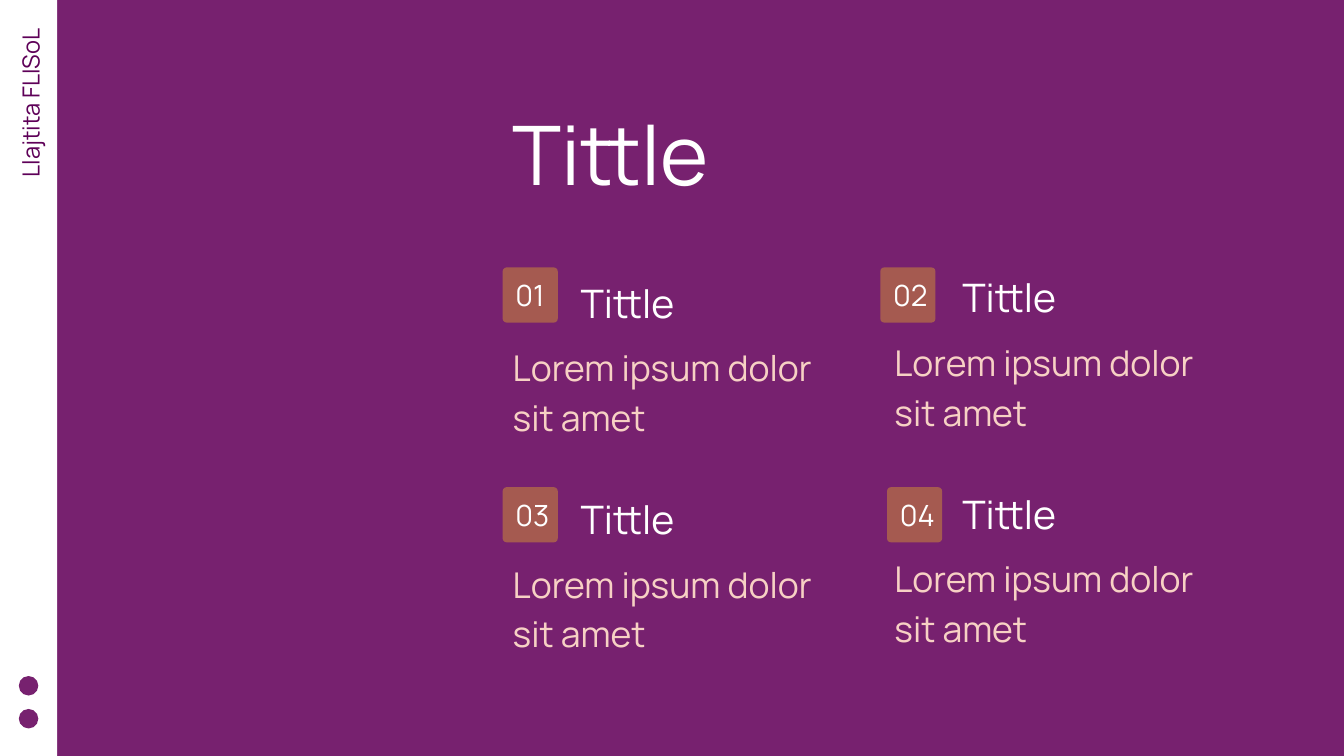
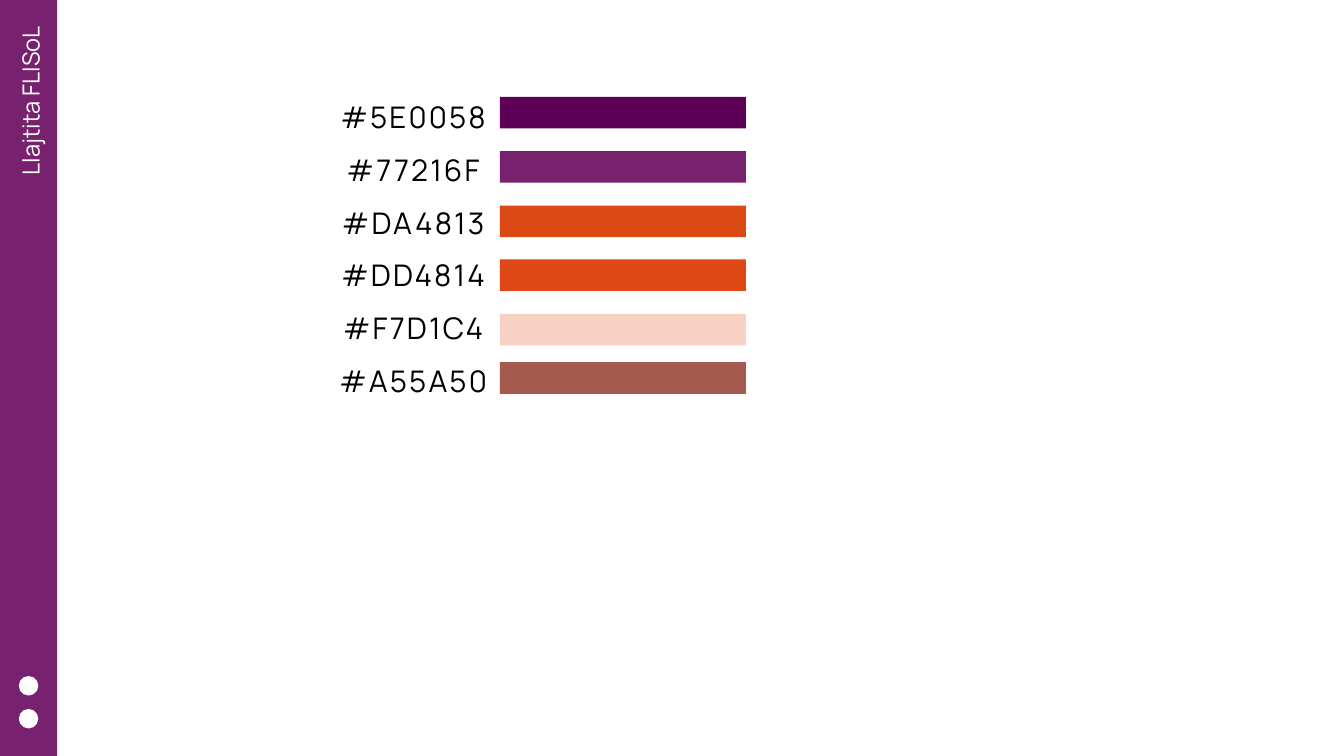
from pptx import Presentation
from pptx.dml.color import RGBColor
from pptx.enum.shapes import MSO_SHAPE
from pptx.enum.text import MSO_ANCHOR, MSO_AUTO_SIZE, PP_ALIGN
from pptx.oxml import parse_xml
from pptx.oxml.ns import nsdecls
from pptx.util import Inches, Pt

RECT, ROUNDED, OVAL = MSO_SHAPE.RECTANGLE, MSO_SHAPE.ROUNDED_RECTANGLE, MSO_SHAPE.OVAL
LEFT, CENTER = PP_ALIGN.LEFT, PP_ALIGN.CENTER
TOP, NO_FIT = MSO_ANCHOR.TOP, MSO_AUTO_SIZE.NONE

FONT = "Manrope"
COLORS = {
    "dark": "5E0058", "purple": "77216F", "orange": "DA4813",
    "bright": "DD4814", "peach": "F7D1C4", "brown": "A55A50",
    "white": "FFFFFF", "black": "000000",
}


def write(s, text, x, y, w, h, size, spacing, color, align=LEFT, tracking=0, sp=None):
    """Put text in a new box, or in the placeholder sp, one paragraph a line."""
    box = Inches(x), Inches(y), Inches(w), Inches(h)
    if sp is None:
        sp = s.shapes.add_textbox(*box)
    sp.left, sp.top, sp.width, sp.height = box
    tf = sp.text_frame
    tf.word_wrap, tf.auto_size, tf.vertical_anchor = True, NO_FIT, TOP
    tf.margin_left = tf.margin_top = tf.margin_right = tf.margin_bottom = 0
    for i, line in enumerate(text.split("\n")):
        p = tf.add_paragraph() if i else tf.paragraphs[0]
        p.alignment, p.line_spacing, p.space_before = align, Pt(spacing), Pt(0)
        if sp.is_placeholder:
            pPr = p._p.get_or_add_pPr()
            pPr.set("marL", "0")
            pPr.set("indent", "0")
            pPr.append(parse_xml(f"<a:buNone {nsdecls('a')}/>"))
        r = p.add_run()
        r.text = line
        r.font.name, r.font.size = FONT, Pt(size)
        r.font.color.rgb = RGBColor.from_string(COLORS[color])
        if tracking:
            r._r.get_or_add_rPr().set("spc", str(tracking))
    return sp


def block(s, kind, x, y, w, h, color):
    """Add a plain filled shape without outline."""
    sp = s.shapes.add_shape(kind, Inches(x), Inches(y), Inches(w), Inches(h))
    sp.shadow.inherit = False
    sp.fill.solid()
    sp.fill.fore_color.rgb = RGBColor.from_string(COLORS[color])
    sp.line.fill.background()
    return sp


prs = Presentation()
prs.slide_width, prs.slide_height = Inches(20), Inches(11.25)
cards_slide = prs.slides.add_slide(prs.slide_layouts[5])
palette_slide = prs.slides.add_slide(prs.slide_layouts[1])

# Background and side band of both slides
for s, back, band, dots, label, label_top in (
    (cards_slide, "purple", "white", "purple", "dark", 0.94),
    (palette_slide, "white", "purple", "white", "white", 0.91),
):
    s.background.fill.solid()
    s.background.fill.fore_color.rgb = RGBColor.from_string(COLORS[back])
    block(s, RECT, 0, 0, 0.85, 11.25, band)
    for y in (10.06, 10.55):
        block(s, OVAL, 0.28, y, 0.29, 0.29, dots)
    sp = write(s, "Llajtita FLISoL", -1.04, label_top, 2.91, 0.49, 25.3, 35.4, label)
    sp.rotation = 270

# Slide 1: title and four numbered cards
s = cards_slide
write(s, "Tittle", 7.63, 1.58, 9.19, 1.43, 88, 103, "white", sp=s.shapes.title)
for i, badge_x in enumerate((7.48, 13.1, 7.48, 13.2)):
    row, col = divmod(i, 2)
    x = 7.63 + 5.68 * col
    y = 4.17 + 3.22 * row - 0.08 * col
    badge_y = 3.98 + 3.27 * row
    badge = block(s, ROUNDED, badge_x, badge_y, 0.82, 0.82, "brown")
    badge.adjustments[0] = 0.07
    write(s, f"{i + 1:02}", badge_x + 0.19, badge_y + 0.16, 1.03, 0.51, 31.3, 36.6, "white")
    write(s, "Tittle", x + 1.01, y, 3.09, 0.68, 42, 49.1, "white")
    write(s, "Lorem ipsum dolor sit amet", x, y + 0.88, 5.13, 1.48, 38, 53.2, "peach")

# Slide 2: colour codes with a swatch beside each
s = palette_slide
s.shapes.title.element.getparent().remove(s.shapes.title.element)
swatches = {"dark": 1.44, "purple": 2.25, "orange": 3.06,
            "bright": 3.86, "peach": 4.67, "brown": 5.39}
codes = "\n".join("#" + COLORS[name] for name in swatches)
write(s, codes, 3.8, 1.22, 4.7, 4.71, 31.9, 56.5, "black",
      align=CENTER, tracking=230, sp=s.placeholders[1])
for name, y in swatches.items():
    block(s, RECT, 7.44, y, 3.66, 0.47, name)

prs.save("out.pptx")
